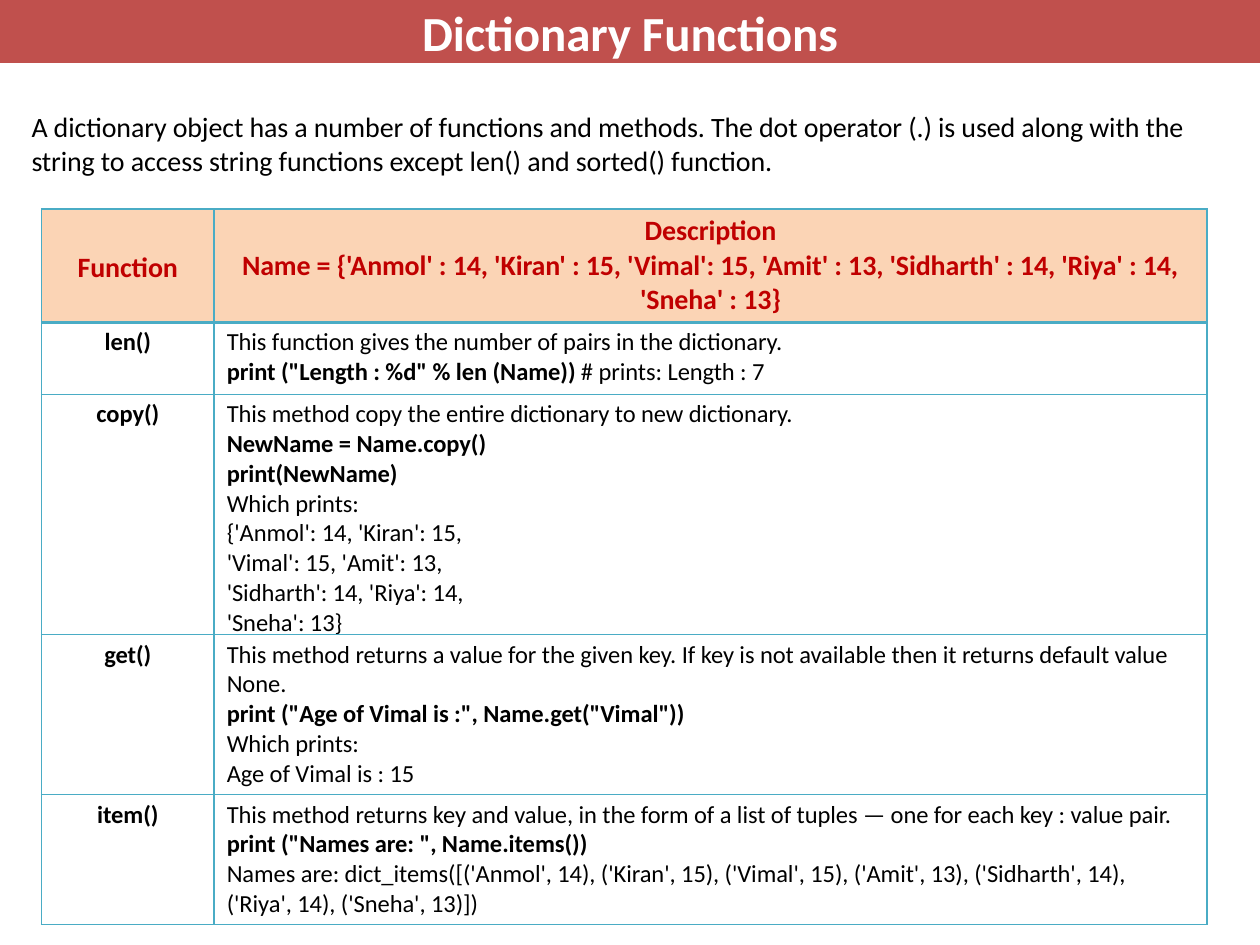
import pptx
import pptx.dml.color
import pptx.enum.shapes
import pptx.enum.text
import pptx.oxml
import pptx.oxml.ns
import pptx.util

Inches, Pt = pptx.util.Inches, pptx.util.Pt
ALIGN = pptx.enum.text.PP_ALIGN
ANCHOR = pptx.enum.text.MSO_ANCHOR
COLORS = {"banner": "C0504D", "white": "FFFFFF", "black": "000000",
          "header": "FBD4B5", "header_text": "C00000", "border": "4AACC5"}


def add_run(paragraph, text, size, color, bold=False):
    run = paragraph.add_run()
    run.text = text
    run.font.name = "Calibri"
    run.font.size = Pt(size)
    run.font.bold = bold
    run.font.color.rgb = pptx.dml.color.RGBColor.from_string(COLORS[color])
    run.font._element.set("spc", "-5")


def set_borders(cell, top, bottom):
    properties = cell._tc.get_or_add_tcPr()
    widths = {"lnL": 1, "lnR": 1, "lnT": top, "lnB": bottom}
    for index, (side, width) in enumerate(widths.items()):
        line = pptx.oxml.parse_xml(
            f'<a:{side} {pptx.oxml.ns.nsdecls("a")} w="{Pt(width)}"><a:solidFill>'
            f'<a:srgbClr val="{COLORS["border"]}"/></a:solidFill></a:{side}>')
        properties.insert(index, line)


presentation = pptx.Presentation()
presentation.slide_width, presentation.slide_height = Inches(10), Inches(7.5)
slide = presentation.slides.add_slide(presentation.slide_layouts[6])

# Title banner
banner = slide.shapes.add_shape(
    pptx.enum.shapes.MSO_SHAPE.RECTANGLE, 0, 0, Inches(10), Inches(0.5))
banner.shadow.inherit = False
banner.fill.solid()
banner.fill.fore_color.rgb = pptx.dml.color.RGBColor.from_string(COLORS["banner"])
banner.line.fill.background()

# Introduction
intro = slide.shapes.add_textbox(Inches(0.25), Inches(0.86), Inches(9.28), Inches(0.56))

for shape, text, size, color, bold, align, top in [
    (banner, "Dictionary Functions", 28, "white", True, ALIGN.CENTER, 0.02),
    (intro, "A dictionary object has a number of functions and methods. The dot operator (.) "
            "is used along with the string to access string functions except len() and "
            "sorted() function.", 16, "black", False, ALIGN.LEFT, 0.01),
]:
    frame = shape.text_frame
    frame.word_wrap = True
    frame.vertical_anchor = ANCHOR.TOP
    frame.margin_left = frame.margin_right = frame.margin_bottom = 0
    frame.margin_top = Inches(top)
    paragraph = frame.paragraphs[0]
    paragraph.alignment = align
    paragraph.space_before = Pt(1)
    add_run(paragraph, text, size, color, bold)

# Table content: each paragraph is a list of (text, bold) runs
header = ["Description",
          "Name = {'Anmol' : 14, 'Kiran' : 15, 'Vimal': 15, 'Amit' : 13, "
          "'Sidharth' : 14, 'Riya' : 14,",
          "'Sneha' : 13}"]
rows = [
    ("Function", 0.9, [[(text, True)] for text in header]),
    ("len()", 0.57, [
        [("This function gives the number of pairs in the dictionary.", False)],
        [('print ("Length : %d" % len (Name)) ', True), ("# prints: Length : 7", False)]]),
    ("copy()", 1.27, [
        [("This method copy the entire dictionary to new dictionary.", False)],
        [("NewName = Name.copy() print(NewName)", True)],
        [("Which prints:", False)],
        [("{'Anmol': 14, 'Kiran': 15, 'Vimal': 15, 'Amit': 13, 'Sidharth': 14, "
          "'Riya': 14, 'Sneha': 13}", False)]]),
    ("get()", 1.27, [
        [("This method returns a value for the given key. If key is not available then it "
          "returns default value None.", False)],
        [('print ("Age of Vimal is :", Name.get("Vimal"))', True)],
        [("Which prints:", False)],
        [("Age of Vimal is : 15", False)]]),
    ("item()", 1.03, [
        [("This method returns key and value, in the form of a list of tuples — one for "
          "each key : value pair.", False)],
        [('print ("Names are: ", Name.items())', True)],
        [("Names are: dict_items([('Anmol', 14), ('Kiran', 15), ('Vimal', 15), "
          "('Amit', 13), ('Sidharth', 14),", False)],
        [("('Riya', 14), ('Sneha', 13)])", False)]]),
]

# Table
table = slide.shapes.add_table(
    len(rows), 2, Inches(0.33), Inches(1.66), Inches(9.25), Inches(5.04)).table
table.first_row = table.horz_banding = False
for column, width in zip(table.columns, (1.37, 7.88)):
    column.width = Inches(width)

for row_index, (name, height, description) in enumerate(rows):
    table.rows[row_index].height = Inches(height)
    is_header = row_index == 0
    size, color = (16, "header_text") if is_header else (14, "black")
    for column_index, paragraphs in enumerate(([[(name, True)]], description)):
        cell = table.cell(row_index, column_index)
        cell.margin_left = cell.margin_right = cell.margin_bottom = 0
        cell.margin_top = Inches(0.04)
        if is_header:
            cell.vertical_anchor = ANCHOR.MIDDLE if column_index == 0 else ANCHOR.TOP
            cell.fill.solid()
            cell.fill.fore_color.rgb = pptx.dml.color.RGBColor.from_string(COLORS["header"])
        else:
            cell.fill.background()
        set_borders(cell, 2.25 if row_index == 1 else 1, 2.25 if is_header else 1)
        for index, runs in enumerate(paragraphs):
            frame = cell.text_frame
            paragraph = frame.paragraphs[0] if index == 0 else frame.add_paragraph()
            paragraph.space_before = Pt(2.7 if index == 0 else 0)
            if is_header or column_index == 0:
                paragraph.alignment = ALIGN.CENTER
            else:
                properties = paragraph._p.get_or_add_pPr()
                properties.set("marL", str(Inches(0.1)))
                # Code and its output in the copy() row keep to a narrow measure
                if name == "copy()" and index in (1, 3):
                    properties.set("marR", str(Inches(5.58)))
            for text, bold in runs:
                add_run(paragraph, text, size, color, bold)

presentation.save("out.pptx")
